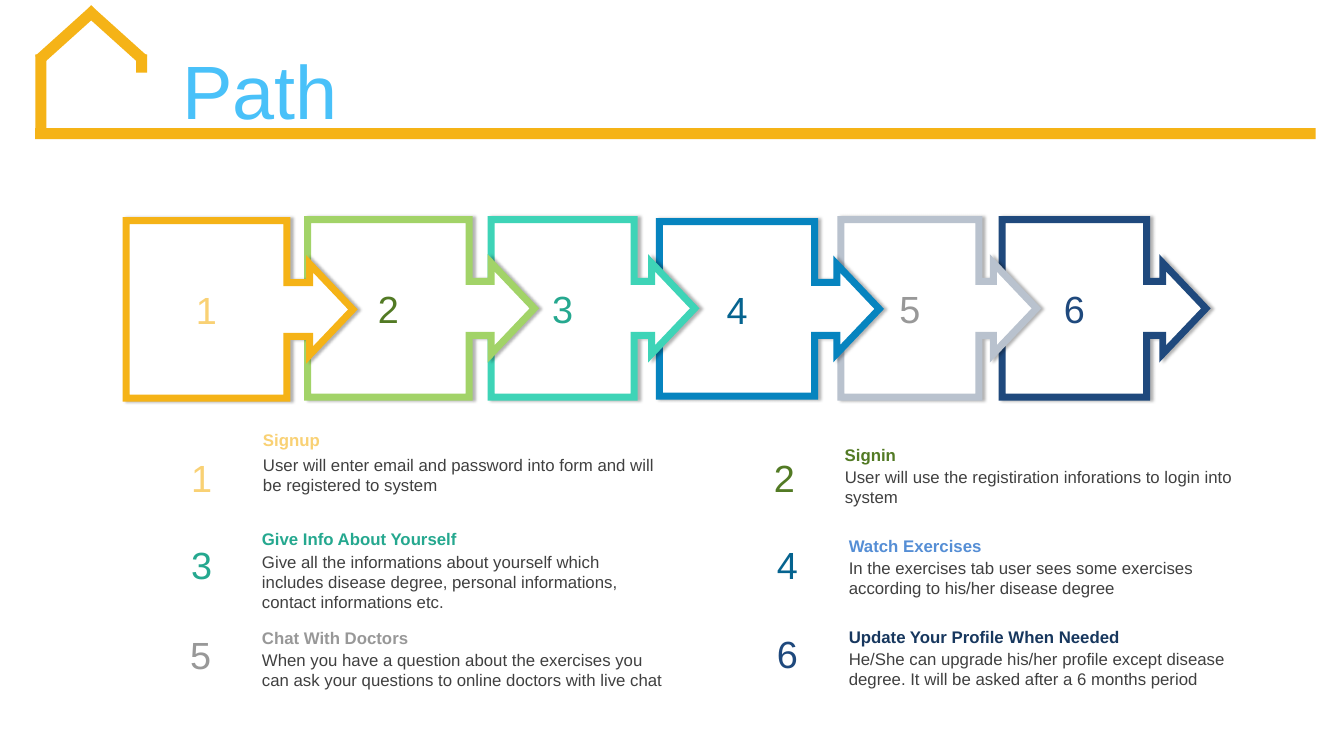
from lxml.etree import SubElement
from pptx import Presentation
from pptx.dml.color import RGBColor
from pptx.enum.shapes import MSO_SHAPE
from pptx.enum.text import MSO_ANCHOR, MSO_AUTO_SIZE, PP_ALIGN
from pptx.oxml import parse_xml
from pptx.oxml.ns import nsdecls, qn
from pptx.util import Pt

PX = 9144  # 100 px to the inch
GOLD = "F5B317"
BODY_TEXT = "404040"
SHADOW = (
    f'<a:effectLst {nsdecls("a")}>'
    '<a:outerShdw blurRad="25400" dist="25400" dir="0" algn="l" rotWithShape="0">'
    '<a:srgbClr val="000000"><a:alpha val="30000"/></a:srgbClr>'
    '</a:outerShdw></a:effectLst>'
)


def hex_color(value):
    return RGBColor.from_string(value)


def write(shape, text, size, color, bold=False, align=PP_ALIGN.LEFT):
    frame = shape.text_frame
    frame.word_wrap = True
    paragraph = frame.paragraphs[0]
    paragraph.alignment = align
    run = paragraph.add_run()
    run.text = text
    for name, value in {"name": "Arial", "size": Pt(size), "bold": bold}.items():
        setattr(run.font, name, value)
    run.font.color.rgb = hex_color(color)
    return paragraph


prs = Presentation()
prs.slide_width, prs.slide_height = 1333 * PX, 750 * PX
slide = prs.slides.add_slide(prs.slide_layouts[5])
shapes = slide.shapes

# House outline that runs into the rule under the title
house_bars = [
    (35, 127, 1270, 11, 0),
    (35, 54, 11, 80, 0),
    (135, 54, 11, 18, 0),
    (61, -3, 11, 75, 48),
    (109, -3, 11, 75, 312),
]
for *box, angle in house_bars:
    bar = shapes.add_shape(MSO_SHAPE.RECTANGLE, *(v * PX for v in box))
    bar.rotation = angle
    bar.shadow.inherit = False
    bar.fill.solid()
    bar.fill.fore_color.rgb = hex_color(GOLD)
    bar.line.fill.background()

title = shapes.title
title_box = {"left": 171, "top": 55, "width": 1130, "height": 79}
for name, value in title_box.items():
    setattr(title, name, value * PX)
title.text_frame.auto_size = MSO_AUTO_SIZE.NONE
title.text_frame.vertical_anchor = MSO_ANCHOR.MIDDLE
heading_line = write(title, "Path", 54, "49C1F9")
heading_line.line_spacing = 0.9
heading_line.space_before = Pt(10)

# Callout box, share of it taken by the square, outline and number colours
callouts = [
    ((125, 219, 225, 176), 0.709, GOLD, "F9D174"),
    ((305, 218, 225, 176), 0.713, "A2D368", "527A24"),
    ((487, 218, 202, 176), 0.703, "3ED4B7", "25A88F"),
    ((654, 220, 218, 173), 0.706, "0684BF", "05638F"),
    ((834, 218, 194, 176), 0.706, "B9C2CE", "989898"),
    ((994, 218, 202, 176), 0.709, "1F497D", "1F497D"),
]
# The last step lies at the back, so each arrowhead overlaps the next square
for number, (box, square, outline, ink) in reversed(list(enumerate(callouts, 1))):
    callout = shapes.add_shape(
        MSO_SHAPE.RIGHT_ARROW_CALLOUT, *(v * PX for v in box))
    for i, value in enumerate((0.303, 0.256, 0.243, square)):
        callout.adjustments[i] = value
    callout.fill.solid()
    callout.fill.fore_color.rgb = hex_color("FFFFFF")
    callout.line.color.rgb = hex_color(outline)
    callout.line.width = Pt(5)
    SubElement(callout.line._get_or_add_ln(), qn("a:miter"), lim="800000")
    callout._element.spPr.append(parse_xml(SHADOW))
    callout.text_frame.vertical_anchor = MSO_ANCHOR.MIDDLE
    write(callout, str(number), 27, ink, align=PP_ALIGN.CENTER)

# Number position, heading position and colour, description top and height
steps = [
    ((146, 446), (251, 421), "F9D174", 446, 50, "Signup",
     "User will enter email and password into form and will be registered to system"),
    ((724, 446), (828, 436), "527A24", 458, 50, "Signin",
     "User will use the registiration inforations to login into system"),
    ((146, 532), (250, 520), "25A88F", 542, 71, "Give Info About Yourself",
     "Give all the informations about yourself which includes disease degree, "
     "personal informations, contact informations etc."),
    ((727, 532), (832, 527), "558ED5", 548, 50, "Watch Exercises",
     "In the exercises tab user sees some exercises according to his/her disease degree"),
    ((145, 622), (250, 618), "989898", 640, 50, "Chat With Doctors",
     "When you have a question about the exercises you can ask your questions "
     "to online doctors with live chat"),
    ((727, 621), (832, 617), "17375E", 639, 50, "Update Your Profile When Needed",
     "He/She can upgrade his/her profile except disease degree. "
     "It will be asked after a 6 months period"),
]
for number, step in enumerate(steps, 1):
    number_at, heading_at, heading_ink, detail_top, detail_height, heading, detail = step
    number_ink = callouts[number - 1][3]
    labels = [
        ((*number_at, 108, 56), str(number), 27, number_ink, False, PP_ALIGN.CENTER),
        ((heading_at[0], detail_top, 419, detail_height), detail, 12, BODY_TEXT,
         False, PP_ALIGN.LEFT),
        ((*heading_at, 416, 30), heading, 12, heading_ink, True, PP_ALIGN.LEFT),
    ]
    for box, *style in labels:
        label = shapes.add_textbox(*(v * PX for v in box))
        label.text_frame.auto_size = MSO_AUTO_SIZE.SHAPE_TO_FIT_TEXT
        write(label, *style)

prs.save("out.pptx")
